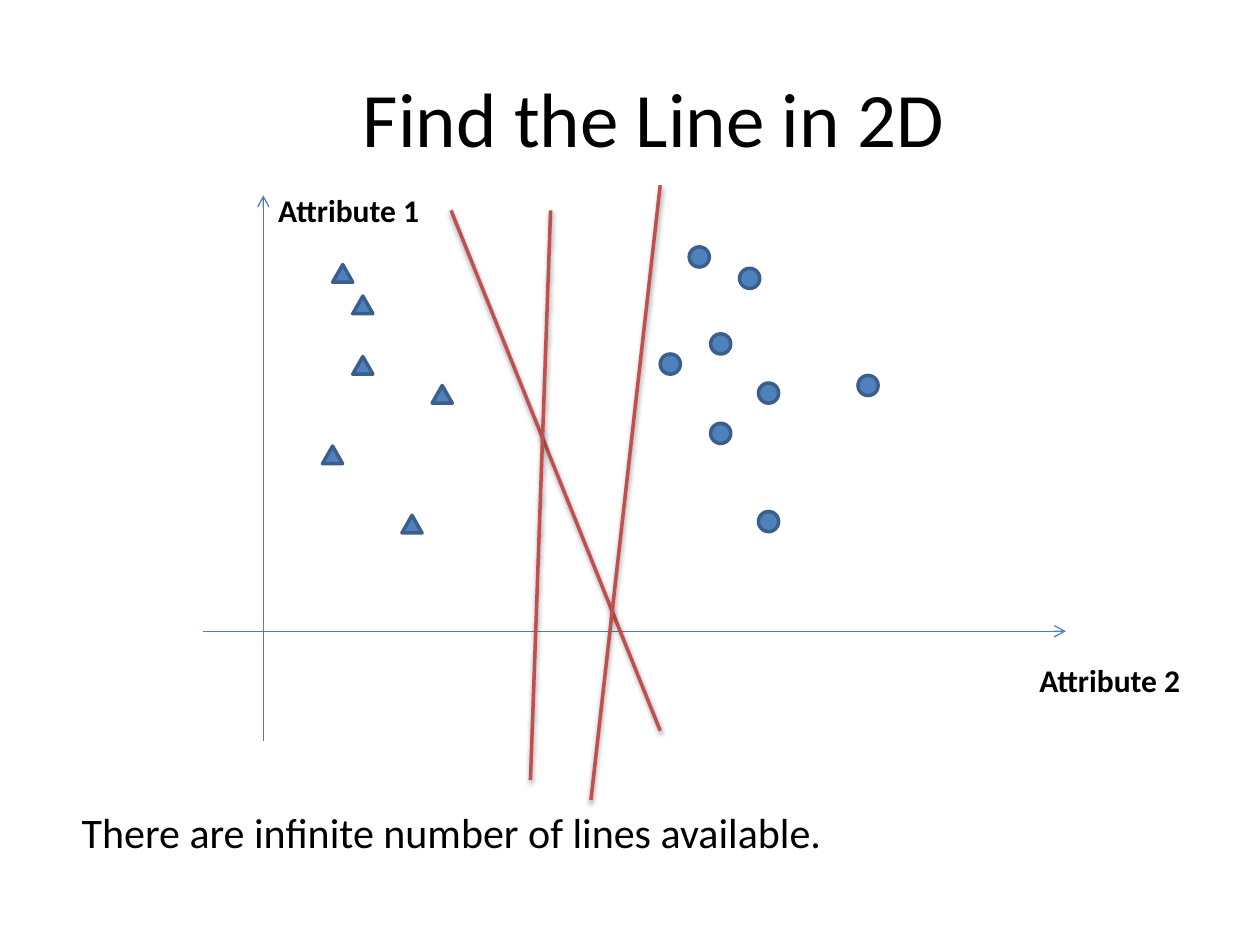
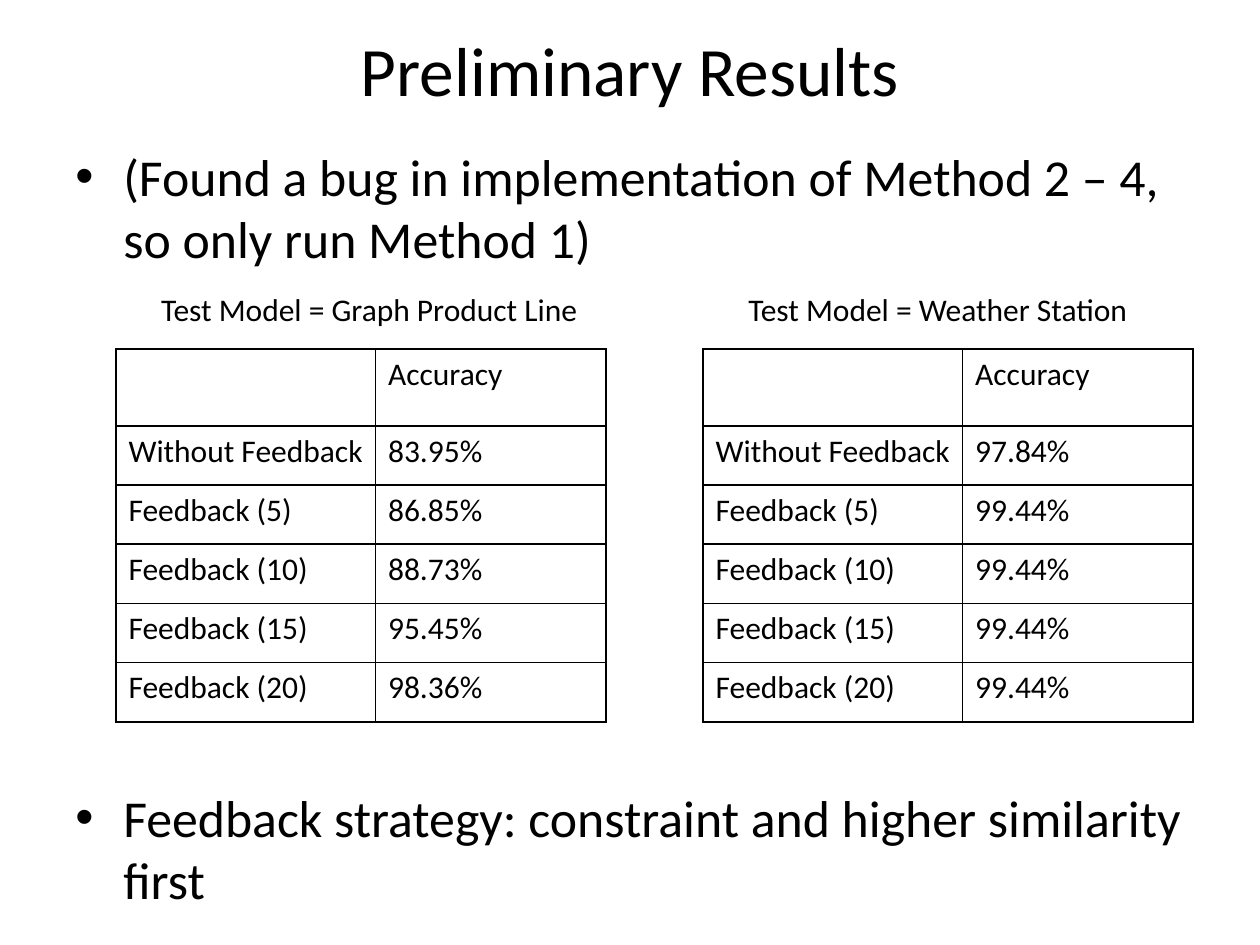
from dataclasses import dataclass

from lxml.etree import SubElement
from pptx import Presentation
from pptx.dml.color import RGBColor
from pptx.enum.shapes import MSO_CONNECTOR as Link, MSO_SHAPE as Form
from pptx.enum.text import MSO_ANCHOR as Anchor, MSO_AUTO_SIZE as Fit, PP_ALIGN as Align
from pptx.oxml import parse_xml
from pptx.oxml.ns import nsdecls, qn
from pptx.util import Inches, Pt


@dataclass(frozen=True)
class Theme:
    font: str = "Calibri"
    ink: str = "000000"
    mark: str = "4F81BD"
    edge: str = "3A5F8C"
    axis: str = "4B7EBC"
    split: str = "C0504D"
    title: float = 44
    small: float = 39.6
    body: float = 29.6
    note: float = 24
    label: float = 18
    thin: float = 0.75
    thick: float = 2


SHADOW = (
    '<a:outerShdw {} blurRad="{}" dist="{}" dir="5400000" rotWithShape="0">'
    '<a:srgbClr val="{}"><a:alpha val="38000"/></a:srgbClr></a:outerShdw>'
)
EDGE = (
    '<a:{side} {ns} w="12700"><a:solidFill><a:srgbClr val="{ink}"/>'
    "</a:solidFill></a:{side}>"
)


class Deck:
    def __init__(self, theme):
        self.theme = theme
        self.show = Presentation()
        self.show.slide_width, self.show.slide_height = Inches(10), Inches(7.5)
        self.slide = None

    def style(self, para, size, bold=False):
        font = para.font
        font.name, font.size, font.bold = self.theme.font, Pt(size), bold
        font.color.rgb = RGBColor.from_string(self.theme.ink)

    def page(self, text, box, size):
        """Start a slide with a title."""
        self.slide = self.show.slides.add_slide(self.show.slide_layouts[5])
        title = self.slide.shapes.title
        title.left, title.top, title.width, title.height = map(Inches, box)
        frame = title.text_frame
        frame.text = text
        frame.auto_size, frame.vertical_anchor = Fit.NONE, Anchor.MIDDLE
        para = frame.paragraphs[0]
        para.alignment = Align.CENTER
        self.style(para, size)

    def label(self, text, box, size, bold=False):
        frame = self.slide.shapes.add_textbox(*map(Inches, box)).text_frame
        frame.word_wrap = False
        frame.text = text
        self.style(frame.paragraphs[0], size, bold)

    def bullets(self, items, box, gap):
        frame = self.slide.shapes.add_textbox(*map(Inches, box)).text_frame
        frame.word_wrap = True
        for i, text in enumerate(items):
            para = frame.add_paragraph() if i else frame.paragraphs[0]
            para.text = text
            if i:
                para.space_before = Pt(gap)
            props = para._p.get_or_add_pPr()
            props.set("marL", str(Inches(0.38)))
            props.set("indent", str(Inches(-0.38)))
            SubElement(props, qn("a:buFont"), typeface="Arial")
            SubElement(props, qn("a:buChar"), char="•")
            self.style(para, self.theme.body)

    def line(self, start, end, color, width):
        """Draw a line; return its properties and effect list."""
        link = self.slide.shapes.add_connector(
            Link.STRAIGHT, *map(Inches, (*start, *end)))
        link.line.color.rgb = RGBColor.from_string(color)
        link.line.width = Pt(width)
        props = link._element.spPr
        return link.line, SubElement(props, qn("a:effectLst"))

    def axis(self, start, end):
        line, _ = self.line(start, end, self.theme.axis, self.theme.thin)
        SubElement(line._get_or_add_ln(), qn("a:tailEnd"), type="arrow")

    def split(self, start, end):
        _, effects = self.line(start, end, self.theme.split, self.theme.thick)
        effects.append(parse_xml(SHADOW.format(
            nsdecls("a"), Pt(3.1), Pt(1.6), self.theme.ink)))

    def marks(self, form, spots, height):
        for x, y in spots:
            mark = self.slide.shapes.add_shape(
                form, *map(Inches, (x, y, 0.16, height)))
            mark.shadow.inherit = False
            mark.fill.solid()
            mark.fill.fore_color.rgb = RGBColor.from_string(self.theme.mark)
            mark.line.color.rgb = RGBColor.from_string(self.theme.edge)
            mark.line.width = Pt(self.theme.thick)

    def cell(self, cell, text):
        cell.text = text
        self.style(cell.text_frame.paragraphs[0], self.theme.label)
        props = cell._tc.get_or_add_tcPr()
        for side in ("lnL", "lnR", "lnT", "lnB"):
            props.append(parse_xml(EDGE.format(
                side=side, ns=nsdecls("a"), ink=self.theme.ink)))
        cell.fill.background()

    def table(self, rows, left, top, widths, heights):
        size = sum(widths), sum(heights)
        grid = self.slide.shapes.add_table(
            len(rows), len(widths), *map(Inches, (left, top, *size))).table
        grid.first_row = grid.horz_banding = False
        for col, width in zip(grid.columns, widths):
            col.width = Inches(width)
        for row, height, texts in zip(grid.rows, heights, rows):
            row.height = Inches(height)
            for cell, text in zip(row.cells, texts):
                self.cell(cell, text)


def lines(deck):
    theme = deck.theme
    deck.page("Find the Line in 2D", (0.5, 0.3, 9.38, 1.25), theme.title)
    deck.axis((1.61, 5.01), (8.46, 5.01))
    deck.axis((2.09, 5.88), (2.09, 1.55))
    deck.label("Attribute 2", (8.15, 5.2, 1.34, 0.4), theme.label, True)
    deck.label("Attribute 1", (2.11, 1.47, 1.34, 0.4), theme.label, True)
    deck.marks(Form.OVAL, [
        (5.47, 1.96), (5.87, 2.13), (5.64, 2.65), (6.02, 3.04),
        (5.24, 2.81), (5.64, 3.36), (6.02, 4.06), (6.81, 2.98)], 0.16)
    deck.marks(Form.ISOSCELES_TRIANGLE, [
        (2.64, 2.1), (2.8, 2.35), (3.43, 3.06),
        (2.8, 2.83), (3.19, 4.09), (2.56, 3.54)], 0.14)
    deck.split((3.58, 1.67), (5.24, 5.8))
    deck.split((4.37, 1.67), (4.21, 6.19))
    deck.split((5.24, 1.47), (4.69, 6.35))
    deck.label("There are infinite number of lines available.",
               (0.55, 6.35, 6.14, 0.5), theme.note)


def results(deck):
    theme = deck.theme
    deck.page("Preliminary Results", (0.5, 0.17, 9, 0.75), theme.small)
    deck.bullets([
        "(Found a bug in implementation of Method 2 – 4, so only run Method 1)",
        "Feedback strategy: constraint and higher similarity first",
    ], (0.5, 1.1, 9.25, 6.15), 295)
    names = ["Without Feedback"] + [f"Feedback ({n})" for n in range(5, 21, 5)]
    tests = [
        ("Graph Product Line", 0.92, 3.57, (83.95, 86.85, 88.73, 95.45, 98.36)),
        ("Weather Station", 5.58, 3.28, (97.84,) + (99.44,) * 4),
    ]
    for model, left, width, scores in tests:
        rows = [("", "Accuracy")]
        rows += [(name, f"{score}%") for name, score in zip(names, scores)]
        deck.table(rows, left, 2.77, (2.06, 1.83), [0.61] + [0.47] * 5)
        deck.label(f"Test Model = {model}", (left + 0.26, 2.25, width, 0.4),
                   theme.label)


def main():
    deck = Deck(Theme())
    lines(deck)
    results(deck)
    deck.show.save("out.pptx")


if __name__ == "__main__":
    main()
